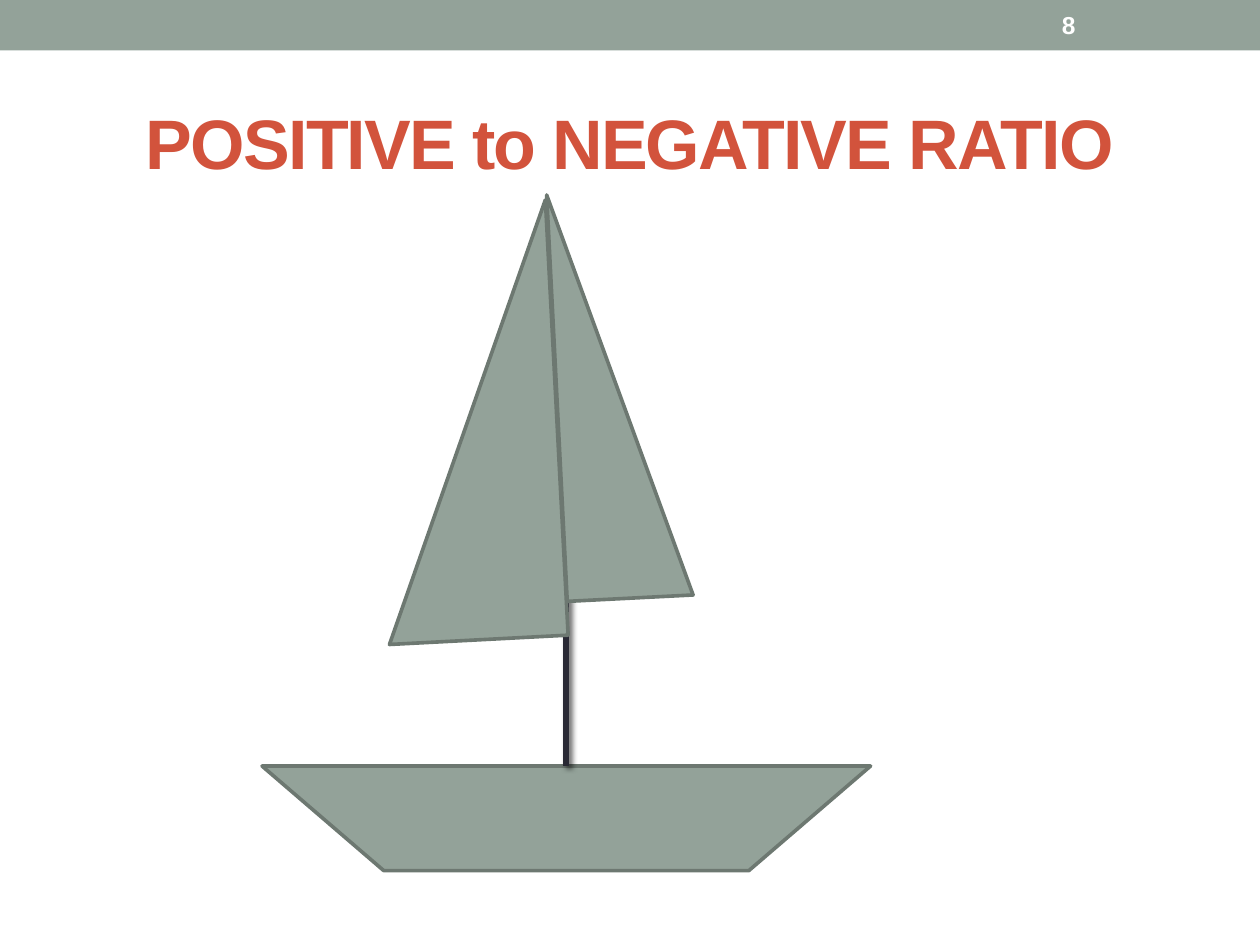
import dataclasses
import pptx
import pptx.util
import pptx.dml.color
import pptx.enum.shapes
import pptx.enum.text
import pptx.oxml
import pptx.oxml.ns

Inches = pptx.util.Inches
Kind = pptx.enum.shapes.MSO_SHAPE
Align = pptx.enum.text.PP_ALIGN


@dataclasses.dataclass(frozen=True)
class Theme:
    font: str = "Arial"
    sage: str = "93A299"
    edge: str = "6D7871"
    mast: str = "292934"
    title: str = "D2533C"
    white: str = "FFFFFF"
    head: int = 40
    small: int = 14
    thin: float = 2.08
    thick: float = 3.5


THEME = Theme()
WIDE, HIGH = 10, 7.5
BAND = 0.4


def tint(code):
    return pptx.dml.color.RGBColor.from_string(code)


def place(item, box):
    item.left, item.top, item.width, item.height = map(Inches, box)


def write(item, text, size, color, align, space=0):
    frame = item.text_frame
    frame.word_wrap = True
    frame.auto_size = pptx.enum.text.MSO_AUTO_SIZE.NONE
    frame.vertical_anchor = pptx.enum.text.MSO_ANCHOR.MIDDLE
    para = frame.paragraphs[0]
    para.alignment = align
    run = para.add_run()
    run.text = text
    font = run.font
    font.name, font.size, font.bold = THEME.font, pptx.util.Pt(size), True
    font.color.rgb = tint(color)
    if space:
        font._element.set("spc", str(space * 100))


def shape(slide, kind, box, turn=0, edge=None):
    item = slide.shapes.add_shape(kind, *map(Inches, box))
    item.shadow.inherit = False
    item.rotation = turn
    item.fill.solid()
    item.fill.fore_color.rgb = tint(THEME.sage)
    if edge:
        item.line.color.rgb = tint(edge)
        item.line.width = pptx.util.Pt(THEME.thin)
    else:
        item.line.fill.background()
    return item


def shade(item):
    item._element.spPr.append(pptx.oxml.parse_xml(
        f'<a:effectLst {pptx.oxml.ns.nsdecls("a")}>'
        '<a:outerShdw blurRad="38100" dist="25400" dir="2700000" rotWithShape="0">'
        '<a:srgbClr val="000000"><a:alpha val="60000"/></a:srgbClr>'
        '</a:outerShdw></a:effectLst>'))


def mast(slide, hull, top):
    foot = hull.left + hull.width // 2
    line = slide.shapes.add_connector(
        pptx.enum.shapes.MSO_CONNECTOR.STRAIGHT, foot, Inches(top), foot, hull.top)
    line.end_connect(hull, 0)
    line.line.color.rgb = tint(THEME.mast)
    line.line.width = pptx.util.Pt(THEME.thick)
    shade(line)


def boat(slide):
    hull = shape(slide, Kind.FLOWCHART_MANUAL_OPERATION,
                 (2.08, 6.08, 4.83, 0.83), edge=THEME.edge)
    mast(slide, hull, HIGH / 2)
    sails = [((1.98, 2.64, 3.46, 1.42), 267), ((4.42, 1.52, 1, 3.23), 357.1)]
    for box, turn in sails:
        shape(slide, Kind.RIGHT_TRIANGLE, box, turn, THEME.edge)


def main():
    deck = pptx.Presentation()
    deck.slide_width, deck.slide_height = Inches(WIDE), Inches(HIGH)
    slide = deck.slides.add_slide(deck.slide_layouts[5])
    shape(slide, Kind.RECTANGLE, (0, 0, WIDE, BAND))
    title = slide.shapes.title
    place(title, (0.5, 0.58, WIDE - 1, 1.08))
    write(title, "POSITIVE to NEGATIVE RATIO", THEME.head, THEME.title,
          Align.CENTER, -1)
    boat(slide)
    page = slide.shapes.add_textbox(*map(Inches, (8.33, 0.02, 1.17, 0.36)))
    write(page, "8", THEME.small, THEME.white, Align.LEFT)
    deck.save("out.pptx")


if __name__ == "__main__":
    main()
